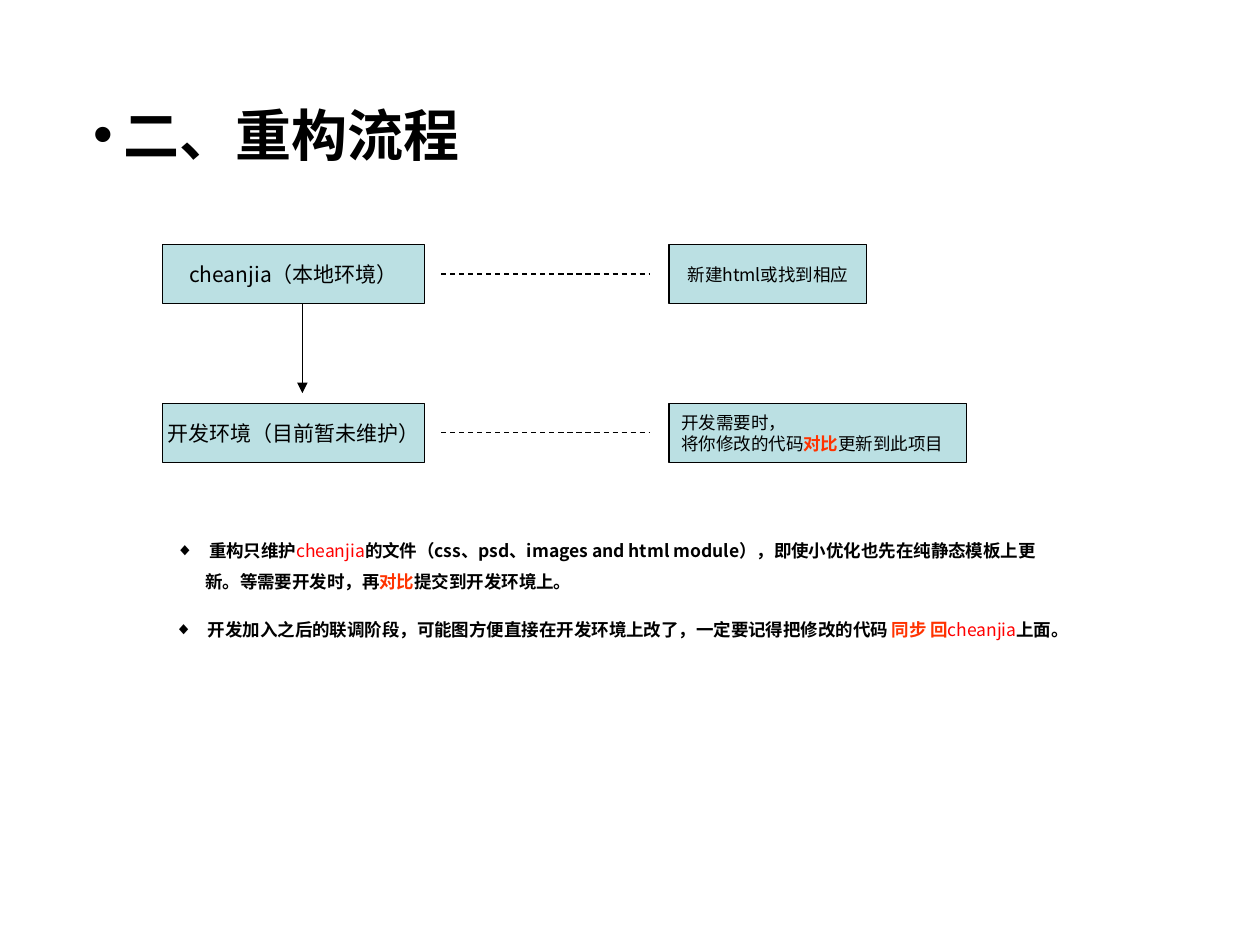
from lxml import etree
from pptx import Presentation
from pptx.dml.color import RGBColor
from pptx.enum.dml import MSO_LINE
from pptx.enum.shapes import MSO_CONNECTOR, MSO_SHAPE
from pptx.enum.text import MSO_ANCHOR, MSO_AUTO_SIZE, PP_ALIGN
from pptx.oxml.ns import qn
from pptx.util import Inches, Pt

RECTANGLE, STRAIGHT, DASH = MSO_SHAPE.RECTANGLE, MSO_CONNECTOR.STRAIGHT, MSO_LINE.DASH
MIDDLE, TOP = MSO_ANCHOR.MIDDLE, MSO_ANCHOR.TOP
CENTER, LEFT = PP_ALIGN.CENTER, PP_ALIGN.LEFT
GROW = MSO_AUTO_SIZE.SHAPE_TO_FIT_TEXT

COLORS = {"ink": "000000", "box": "BBE0E3", "accent": "FF3300", "project": "FF0000"}
CJK = "Noto Sans CJK SC"

# Flow grid in inches
ENV_X, NOTE_X = 1.29, 5.31
ROW_TOP, ROW_STEP, ROW_H = 1.94, 1.26, 0.47
ENV_W = 2.08
LINK_START, LINK_END, ARROW_X = 3.5, 5.16, 2.4

prs = Presentation()
prs.slide_width, prs.slide_height = Inches(10), Inches(7.5)
slide = prs.slides.add_slide(prs.slide_layouts[6])


def write(shape, paragraphs, size, font=CJK, bold=False, align=LEFT, anchor=MIDDLE,
          wrap=True, bullet=None, hang=0, spacing=None):
    """Each paragraph is a list of (text, color, bold) runs; bold None means the default."""
    frame = shape.text_frame
    frame.word_wrap, frame.vertical_anchor = wrap, anchor
    for index, runs in enumerate(paragraphs):
        paragraph = frame.paragraphs[0] if index == 0 else frame.add_paragraph()
        if bullet:
            props = paragraph._p.get_or_add_pPr()
            props.set("marL", str(Inches(hang)))
            props.set("indent", str(-Inches(hang)))
            bullet_color = etree.SubElement(props, qn("a:buClr"))
            etree.SubElement(bullet_color, qn("a:srgbClr"), val=COLORS["ink"])
            etree.SubElement(props, qn("a:buFont"), typeface="Arial")
            etree.SubElement(props, qn("a:buChar"), char=bullet)
        paragraph.alignment = align
        if spacing:
            paragraph.line_spacing = spacing
        for text, color, weight in runs:
            run = paragraph.add_run()
            run.text = text
            run.font.size, run.font.name = Pt(size), font
            run.font.bold = bold if weight is None else weight
            run.font.color.rgb = RGBColor.from_string(COLORS[color])
            etree.SubElement(run._r.get_or_add_rPr(), qn("a:ea"), typeface=CJK)


def connect(x1, y1, x2, y2, dashed=False, arrow=False):
    link = slide.shapes.add_connector(
        STRAIGHT, Inches(x1), Inches(y1), Inches(x2), Inches(y2))
    link.line.color.rgb = RGBColor.from_string(COLORS["ink"])
    link.line.width = Pt(0.75)
    if dashed:
        link.line.dash_style = DASH
    if arrow:
        etree.SubElement(link.line._get_or_add_ln(), qn("a:tailEnd"), type="triangle")
    etree.SubElement(link._element.spPr, qn("a:effectLst"))


# Title
title = slide.shapes.add_textbox(Inches(0.64), Inches(0.44), Inches(9), Inches(1.25))
write(title, [[("二、重构流程", "ink", None)]], size=32, font="Arial", bold=True,
      bullet="•", hang=0.24)

# Flow boxes: column, row, width, size, alignment, paragraphs
flow = [
    (ENV_X, 0, ENV_W, 12, CENTER, [[("cheanjia（本地环境）", "ink", None)]]),
    (ENV_X, 1, ENV_W, 12, CENTER, [[("开发环境（目前暂未维护）", "ink", None)]]),
    (NOTE_X, 0, 1.57, 10, CENTER, [[("新建html或找到相应", "ink", None)]]),
    (NOTE_X, 1, 2.36, 10, LEFT, [
        [("开发需要时，", "ink", None)],
        [("将你修改的代码", "ink", None), ("对比", "accent", True),
         ("更新到此项目", "ink", None)],
    ]),
]
for x, row, width, size, align, paragraphs in flow:
    box = slide.shapes.add_shape(RECTANGLE, Inches(x), Inches(ROW_TOP + row * ROW_STEP),
                                 Inches(width), Inches(ROW_H))
    box.shadow.inherit = False
    box.fill.solid()
    box.fill.fore_color.rgb = RGBColor.from_string(COLORS["box"])
    box.line.color.rgb = RGBColor.from_string(COLORS["ink"])
    box.line.width = Pt(0.75)
    write(box, paragraphs, size=size, align=align, wrap=False)

# Arrow between environments, dashed links to their notes
env_bottom = ROW_TOP + ROW_H
connect(ARROW_X, env_bottom, ARROW_X, env_bottom + 0.71, arrow=True)
for row in range(2):
    link_y = ROW_TOP + row * ROW_STEP + ROW_H / 2
    connect(LINK_START, link_y, LINK_END, link_y, dashed=True)

# Rules below the flow
rules = [
    (1.3, 4.15, 7.09, 0.6, [
        (" 重构只维护", "ink", None), ("cheanjia", "project", False),
        ("的文件（css、psd、images and html module），即使小优化也先在纯静态模板上更新。"
         "等需要开发时，再", "ink", None),
        ("对比", "accent", None), ("提交到开发环境上。", "ink", None)]),
    (1.29, 4.78, 7.27, 0.35, [
        (" 开发加入之后的联调阶段，可能图方便直接在开发环境上改了，一定要记得把修改的代码",
         "ink", None),
        (" 同步 回", "accent", None), ("cheanjia", "project", False),
        ("上面。", "ink", None)]),
]
for x, y, width, height, runs in rules:
    rule = slide.shapes.add_textbox(Inches(x), Inches(y), Inches(width), Inches(height))
    write(rule, [runs], size=10, bold=True, anchor=TOP, bullet="◆", hang=0.23, spacing=1.5)
    rule.text_frame.auto_size = GROW

prs.save("out.pptx")
